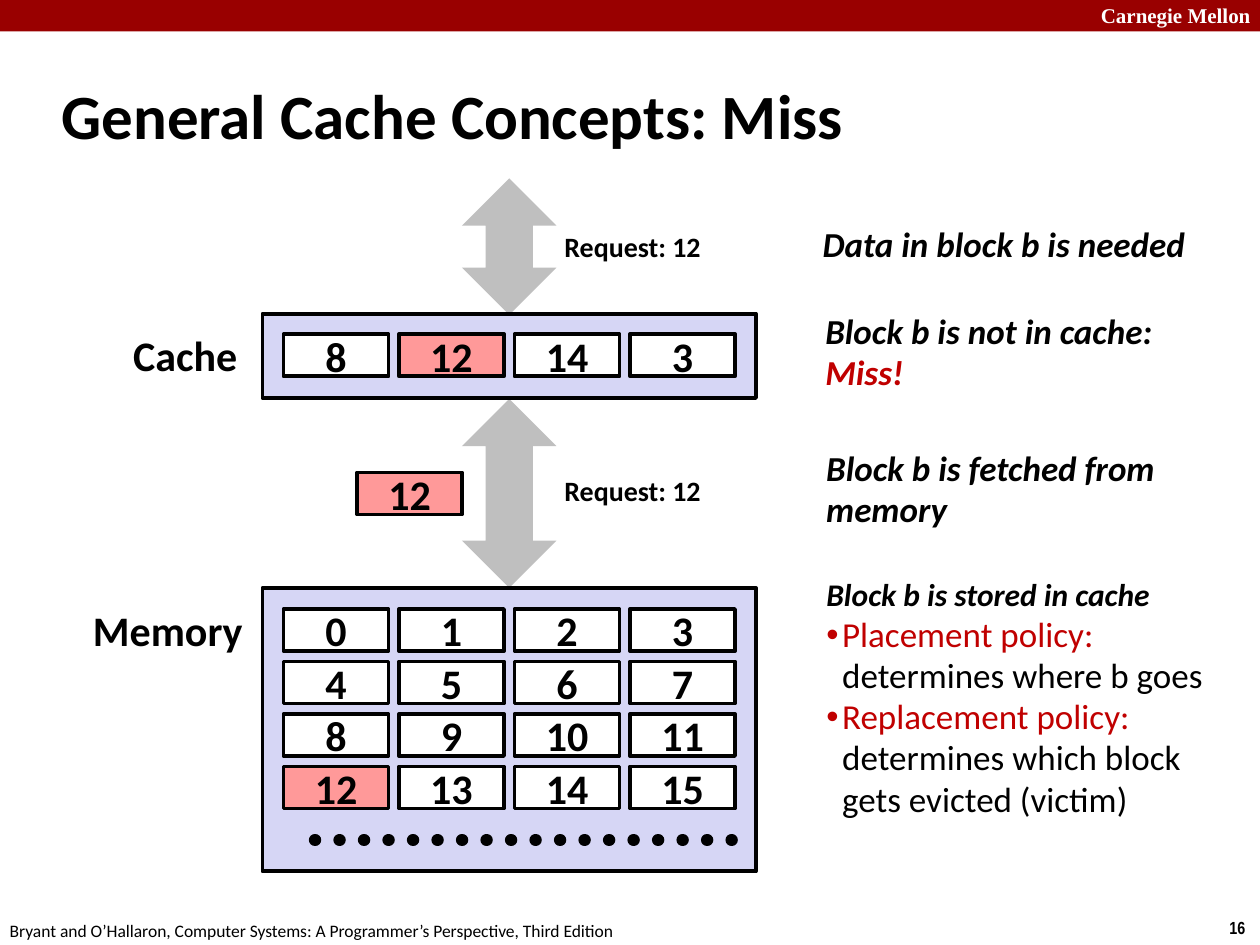
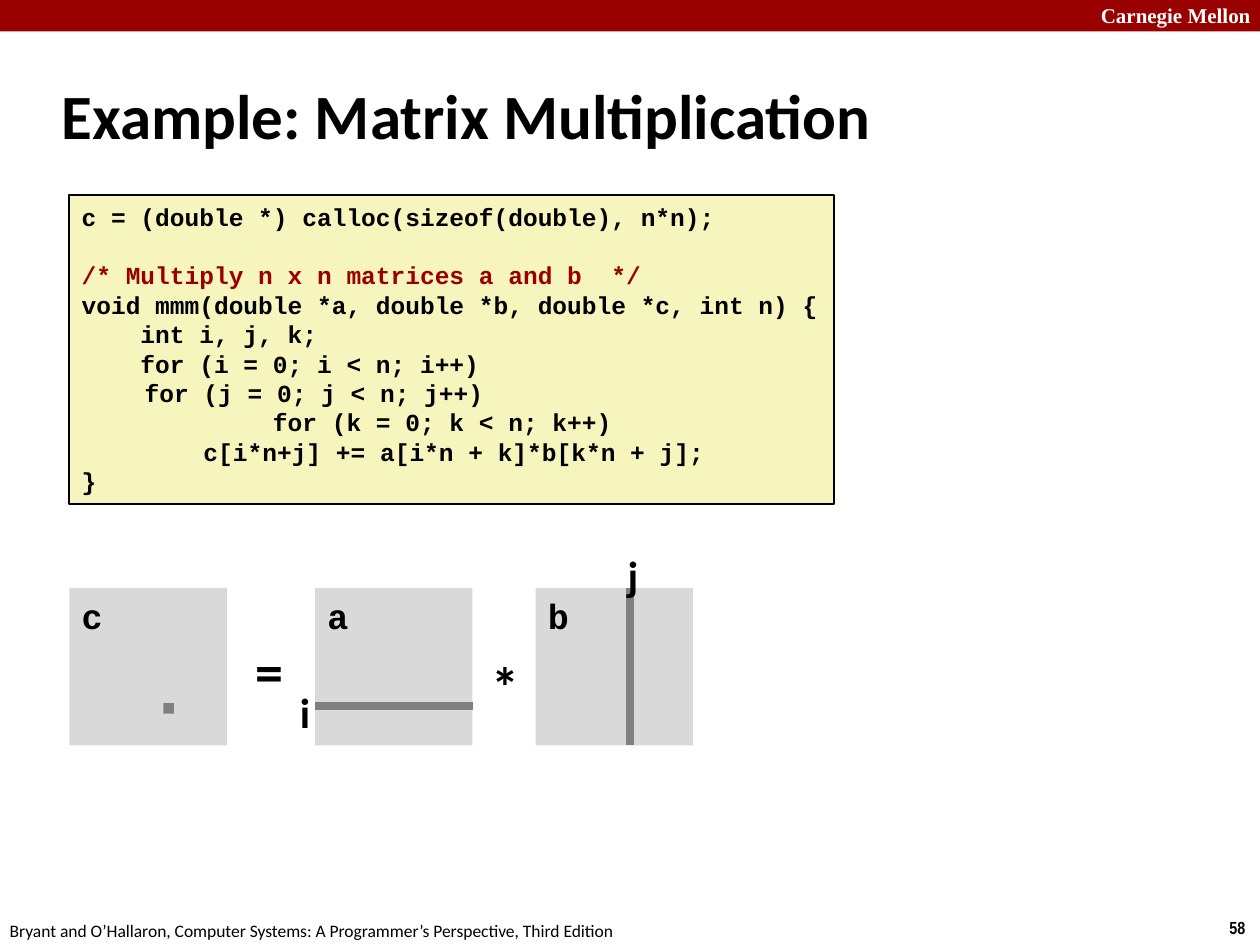
"""Build two lecture slides: a cache miss and a matrix product."""
from dataclasses import dataclass
from typing import NamedTuple, Optional

from lxml.etree import SubElement
from pptx import Presentation
from pptx.dml.color import RGBColor
from pptx.enum.dml import MSO_LINE as Dash
from pptx.enum.shapes import MSO_CONNECTOR as Link, MSO_SHAPE as Kind
from pptx.enum.text import MSO_ANCHOR as Anchor, MSO_AUTO_SIZE as Fit, PP_ALIGN as Align
from pptx.oxml.ns import qn
from pptx.util import Pt

BLACK, WHITE, CRIMSON, RED = "000000", "FFFFFF", "990000", "C00000"
LILAC, PINK, CREAM = "D6D6F5", "FF9999", "F6F5BD"
SILVER, PALE, GRAY = "BFBFBF", "D9D9D9", "808080"
BOLD = {"name": "Calibri", "size": 24, "bold": True, "italic": False, "color": BLACK}
TITLE = BOLD | {"size": 36}
SMALL = BOLD | {"size": 16}
SIGN = BOLD | {"size": 32}
NOTE = BOLD | {"size": 20, "italic": True}
PLAIN = {"size": 20, "bold": False, "italic": False}
FOOT = BOLD | {"size": 10, "bold": False}
PAGE = BOLD | {"name": "Arial Narrow", "size": 10}
SCHOOL = BOLD | {"name": "Times New Roman", "size": 12, "color": WHITE}
CODE = BOLD | {"name": "Courier New", "size": 14}
LETTER = CODE | {"size": 20}
TIGHT = 0.98
PITCH = 16.8


class Box(NamedTuple):
    """Left, top, width and height in points."""
    x: float
    y: float
    w: float
    h: float


class Run(NamedTuple):
    """Text with the format values that differ from its box."""
    text: str
    fmt: dict = {}


@dataclass
class Para:
    """A paragraph with its spacing and bullet."""
    runs: list[Run]
    hang: float = 0
    bullet: str = ""
    line: Optional[float] = None
    before: float = 0
    align: Align = Align.LEFT


@dataclass
class Label:
    """A text box with one format."""
    box: Box
    paras: list[Para]
    fmt: dict
    anchor: Anchor = Anchor.TOP


@dataclass
class Block:
    """A filled preset shape."""
    box: Box
    fill: str
    line: float = 0
    kind: Kind = Kind.RECTANGLE


@dataclass
class Stroke:
    """A straight line."""
    start: tuple[float, float]
    end: tuple[float, float]
    color: str
    width: float
    dash: Optional[Dash] = None


def hue(code: str) -> RGBColor:
    """Turn a hex string into a colour."""
    return RGBColor.from_string(code)


def style(font, fmt: dict) -> None:
    """Set font values from a dict."""
    for key, val in fmt.items():
        if key == "color":
            font.color.rgb = hue(val)
        else:
            setattr(font, key, Pt(val) if key == "size" else val)


def one(text: str, **opts) -> list[Para]:
    """Wrap plain text as a single paragraph."""
    return [Para([Run(text)], **opts)]


def write(frame, paras: list[Para], fmt: dict, anchor: Anchor, wrap: bool = False) -> None:
    """Fill a text frame with paragraphs."""
    layout = {"auto_size": Fit.NONE, "word_wrap": wrap, "vertical_anchor": anchor}
    for key, val in layout.items():
        setattr(frame, key, val)
    for i, para in enumerate(paras):
        p = frame.add_paragraph() if i else frame.paragraphs[0]
        props = p._p.get_or_add_pPr()
        props.set("marL", str(Pt(para.hang)))
        props.set("indent", str(-Pt(para.hang)))
        if para.bullet:
            SubElement(props, qn("a:buChar")).set("char", para.bullet)
        else:
            SubElement(props, qn("a:buNone"))
        spacing = {"line_spacing": para.line, "space_before": Pt(para.before),
                   "alignment": para.align}
        for key, val in spacing.items():
            setattr(p, key, val)
        for run in para.runs:
            for j, text in enumerate(run.text.split("\n")):
                if j:
                    p.add_line_break()
                if text:
                    part = p.add_run()
                    part.text = text
                    style(part.font, fmt | run.fmt)


def place(box: Box) -> list:
    """Turn a box into lengths."""
    return [Pt(v) for v in box]


def label(slide, item: Label) -> None:
    """Draw a text box."""
    frame = slide.shapes.add_textbox(*place(item.box)).text_frame
    write(frame, item.paras, item.fmt, item.anchor)


def block(slide, item: Block):
    """Draw a filled shape and return it."""
    shape = slide.shapes.add_shape(item.kind, *place(item.box))
    shape.shadow.inherit = False
    shape.fill.solid()
    shape.fill.fore_color.rgb = hue(item.fill)
    if item.line:
        shape.line.color.rgb = hue(BLACK)
        shape.line.width = Pt(item.line)
    else:
        shape.line.fill.background()
    return shape


def stroke(slide, item: Stroke) -> None:
    """Draw a straight line."""
    ends = [Pt(v) for v in (*item.start, *item.end)]
    link = slide.shapes.add_connector(Link.STRAIGHT, *ends)
    link.line.color.rgb = hue(item.color)
    link.line.width = Pt(item.width)
    if item.dash:
        link.line.dash_style = item.dash
        link.line._get_or_add_ln().set("cap", "rnd")
    SubElement(link._element.spPr, qn("a:effectLst"))


def hold(shape, box: Box, paras: list[Para], fmt: dict, anchor: Anchor) -> None:
    """Move a placeholder and fill it."""
    for key, val in zip(("left", "top", "width", "height"), place(box)):
        setattr(shape, key, val)
    write(shape.text_frame, paras, fmt, anchor, True)


def start(deck, layout: int, title: str, page: int):
    """Add a slide with its band, footer and title."""
    slide = deck.slides.add_slide(deck.slide_layouts[layout])
    block(slide, Block(Box(0, 0, 720, 18), CRIMSON))
    for item in (
        Label(Box(622, -2, 103, 21.6), one("Carnegie Mellon"), SCHOOL),
        Label(Box(695.5, 520.6, 24.5, 19.4), one(str(page)), PAGE),
        Label(Box(-1.5, 522, 366, 19.4), one(
            "Bryant and O’Hallaron, Computer Systems: A Programmer’s Perspective, "
            "Third Edition"), FOOT),
    ):
        label(slide, item)
    hold(slide.shapes.title, Box(28, 35.3, 598, 60), one(title), TITLE, Anchor.MIDDLE)
    return slide


def tile(slide, x: float, y: float, value: int) -> None:
    """Draw one numbered block, marking the requested one."""
    fill = PINK if value == 12 else WHITE
    shape = block(slide, Block(Box(x, y, 60, 24), fill, 2.25))
    write(shape.text_frame, one(str(value), align=Align.CENTER), BOLD, Anchor.MIDDLE, True)


def grid(slide, top: float, values) -> None:
    """Draw numbered blocks in rows of four."""
    for i, value in enumerate(values):
        tile(slide, 162 + i % 4 * 66, top + i // 4 * 30, value)


def miss(deck) -> None:
    """Draw the cache miss slide."""
    slide = start(deck, 1, "General Cache Concepts: Miss", 16)
    for y, h in ((102, 78), (228, 108)):
        block(slide, Block(Box(264, y, 54, h), SILVER, kind=Kind.UP_DOWN_ARROW))
    for y, h in ((336, 162), (179.2, 48.2)):
        block(slide, Block(Box(150, y, 282, h), LILAC, 2.25))
    grid(slide, 348, range(16))
    grid(slide, 191, (8, 12, 14, 3))
    tile(slide, 204, 270, 12)
    stroke(slide, Stroke((180, 480), (420, 480), BLACK, 7, Dash.ROUND_DOT))
    lost = one("Block b is not in cache:", line=TIGHT)
    lost += [Para([Run("Miss!", {"color": RED})], line=TIGHT)]
    fetch = one("Block b is fetched from", line=TIGHT) + one("memory", line=TIGHT)
    need = one("Data in block b is needed", line=TIGHT)
    ask = one("Request: 12", align=Align.CENTER)
    for item in (
        Label(Box(69, 185, 75, 36.4), one("Cache"), BOLD),
        Label(Box(46, 342, 101, 36.4), one("Memory"), BOLD),
        Label(Box(314.5, 127.5, 94, 26.6), ask, SMALL),
        Label(Box(314.5, 267.3, 94, 26.6), ask, SMALL),
        Label(Box(463, 124.6, 228, 31), need, NOTE, Anchor.MIDDLE),
        Label(Box(464.5, 174, 208, 55.5), lost, NOTE, Anchor.MIDDLE),
        Label(Box(465, 252, 209.5, 55.5), fetch, NOTE, Anchor.MIDDLE),
    ):
        label(slide, item)
    rules = [Para([Run("Block b is stored in cache", {"size": 18})], line=TIGHT)]
    for name, effect in (("Placement", "determines where b goes"),
                         ("Replacement", "determines which block\ngets evicted (victim)")):
        runs = [Run(f"{name} policy:\n", PLAIN | {"color": RED}), Run(effect, PLAIN)]
        rules.append(Para(runs, 9, "•", TIGHT))
    hold(slide.placeholders[1], Box(465, 325.5, 232, 147.6), rules, NOTE, Anchor.MIDDLE)


def product(deck) -> None:
    """Draw the matrix product slide."""
    slide = start(deck, 5, "Example: Matrix Multiplication", 58)
    for name, x in (("c", 39.6), ("a", 180), ("b", 306)):
        shape = block(slide, Block(Box(x, 336, 90, 90), PALE))
        write(shape.text_frame, one(name), LETTER, Anchor.TOP, True)
    stroke(slide, Stroke((180, 403.2), (270, 403.2), GRAY, 4.5))
    stroke(slide, Stroke((360, 336), (360, 426), GRAY, 4.5))
    block(slide, Block(Box(93.4, 401.8, 6, 6), GRAY))
    for item in (
        Label(Box(164.3, 389, 20, 36.4), one("i"), BOLD),
        Label(Box(351.5, 310.5, 21, 36.4), one("j"), BOLD),
        Label(Box(273.6, 368.6, 31, 46), one("*"), SIGN),
        Label(Box(139, 360, 31, 46), one("="), SIGN),
    ):
        label(slide, item)
    lines = one("c = (double *) calloc(sizeof(double), n*n);")
    lines.append(Para([Run("/* Multiply n x n matrices a and b  */", {"color": CRIMSON})],
                      before=PITCH))
    for text in (
        "void mmm(double *a, double *b, double *c, int n) {",
        "    int i, j, k;",
        "    for (i = 0; i < n; i++)",
        "\tfor (j = 0; j < n; j++)",
        "             for (k = 0; k < n; k++)",
        "\t    c[i*n+j] += a[i*n + k]*b[k*n + j];",
        "}",
    ):
        lines += one(text)
    for para in lines:
        para.line = Pt(PITCH)
    panel = block(slide, Block(Box(39.6, 111.6, 437, 176.4), CREAM, 1))
    write(panel.text_frame, lines, CODE, Anchor.TOP)


def main() -> None:
    """Build and save the deck."""
    deck = Presentation()
    deck.slide_width, deck.slide_height = Pt(720), Pt(540)
    miss(deck)
    product(deck)
    deck.save("out.pptx")


if __name__ == "__main__":
    main()
